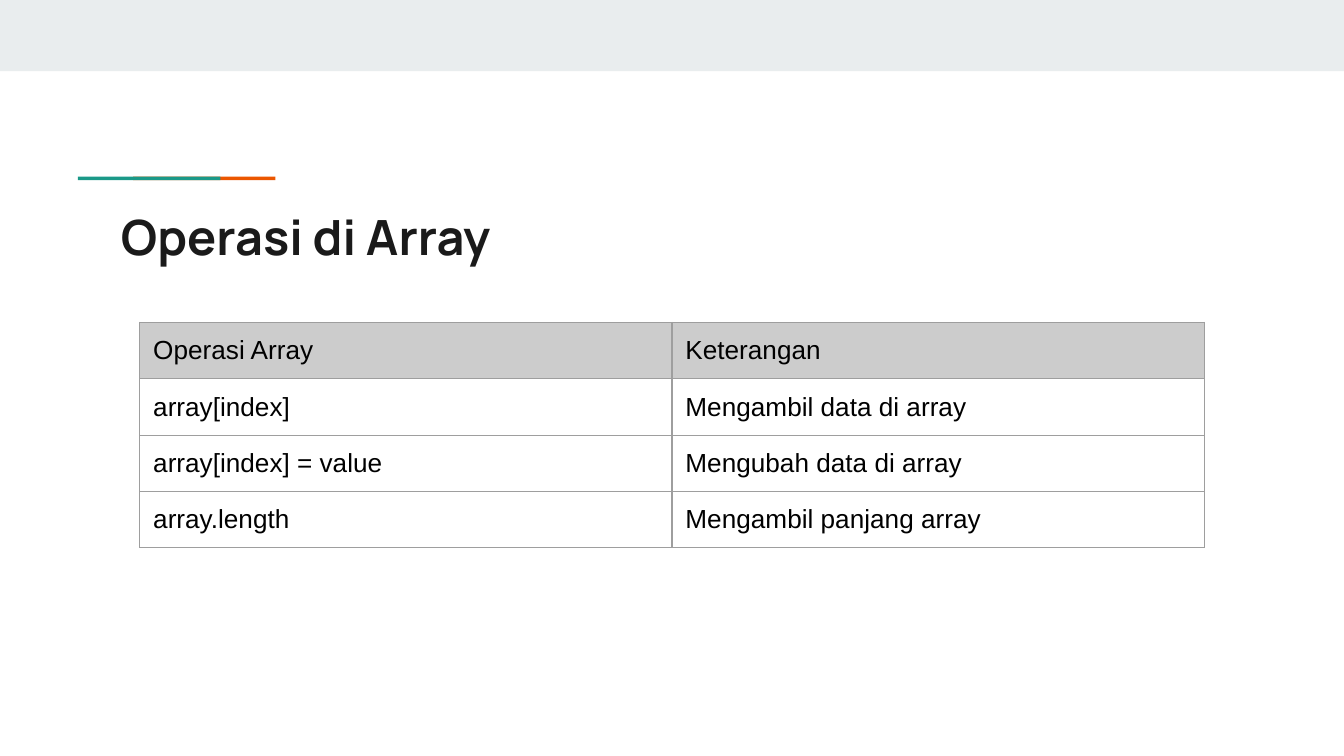
from lxml import etree
from pptx import Presentation
from pptx.dml.color import RGBColor
from pptx.enum.shapes import MSO_SHAPE
from pptx.enum.text import MSO_ANCHOR, PP_ALIGN
from pptx.oxml.ns import qn
from pptx.util import Inches, Pt

RECT = MSO_SHAPE.RECTANGLE
TOP = MSO_ANCHOR.TOP
LEFT = PP_ALIGN.LEFT

HUES = {
    "band": "E9EDEE", "teal": "1A9988", "orange": "EB5600",
    "title": "1A1A1A", "text": "000000", "head": "CCCCCC", "edge": "9E9E9E",
}
FONTS = {
    "title": {"name": "Manrope", "size": Pt(26), "bold": True},
    "text": {"name": "Arial", "size": Pt(14), "bold": False},
}
UNIT = Inches(0.1)
PAD = {f"margin_{side}": UNIT for side in ("left", "right", "top", "bottom")}
ROWS = [
    ("Operasi Array", "Keterangan"),
    ("array[index]", "Mengambil data di array"),
    ("array[index] = value", "Mengubah data di array"),
    ("array.length", "Mengambil panjang array"),
]


def apply(item, values):
    for key, value in values.items():
        setattr(item, key, value)


def hue(name):
    return RGBColor.from_string(HUES[name])


def grid(*cells):
    return [round(cell * UNIT) for cell in cells]


class Deck:
    def __init__(self, cols, rows):
        self.show = Presentation()
        self.show.slide_width, self.show.slide_height = grid(cols, rows)
        self.slide = self.show.slides.add_slide(self.show.slide_layouts[5])

    def label(self, frame, text, style):
        frame.text = text
        para = frame.paragraphs[0]
        para.alignment = LEFT
        font = para.runs[0].font
        apply(font, FONTS[style])
        font.color.rgb = hue(style)

    def title(self, text, *box):
        shape = self.slide.shapes.title
        apply(shape, dict(zip(("left", "top", "width", "height"), grid(*box))))
        frame = shape.text_frame
        apply(frame, PAD | {"vertical_anchor": TOP, "word_wrap": True})
        self.label(frame, text, "title")

    def bar(self, color, *box):
        shape = self.slide.shapes.add_shape(RECT, *grid(*box))
        shape.shadow.inherit = False
        shape.fill.solid()
        shape.fill.fore_color.rgb = hue(color)
        shape.line.fill.background()

    def edge(self, cell):
        props = cell._tc.get_or_add_tcPr()
        for spot, side in enumerate("LRTB"):
            line = etree.Element(qn(f"a:ln{side}"), w=str(Pt(0.75)))
            fill = etree.SubElement(line, qn("a:solidFill"))
            etree.SubElement(fill, qn("a:srgbClr"), val=HUES["edge"])
            props.insert(spot, line)

    def table(self, rows, left, top, wide, high):
        size = len(rows), len(rows[0])
        box = grid(left, top, wide, high * len(rows))
        table = self.slide.shapes.add_table(*size, *box).table
        apply(table, {"first_row": False, "horz_banding": False})
        for r, row in enumerate(rows):
            table.rows[r].height = grid(high)[0]
            for c, text in enumerate(row):
                cell = table.cell(r, c)
                apply(cell, PAD | {"vertical_anchor": TOP})
                self.label(cell.text_frame, text, "text")
                if r == 0:
                    cell.fill.solid()
                    cell.fill.fore_color.rgb = hue("head")
                else:
                    cell.fill.background()
                self.edge(cell)


def main():
    deck = Deck(100, 56.25)
    deck.bar("band", 0, 0, 100, 5.3)
    deck.bar("orange", 9.9, 13.15, 10.6, 0.25)
    deck.bar("teal", 5.8, 13.15, 10.6, 0.25)
    deck.title("Operasi di Array", 8, 14.4, 84.1, 5.9)
    deck.table(ROWS, 10.4, 24, 79.2, 4.17)
    deck.show.save("out.pptx")


if __name__ == "__main__":
    main()
